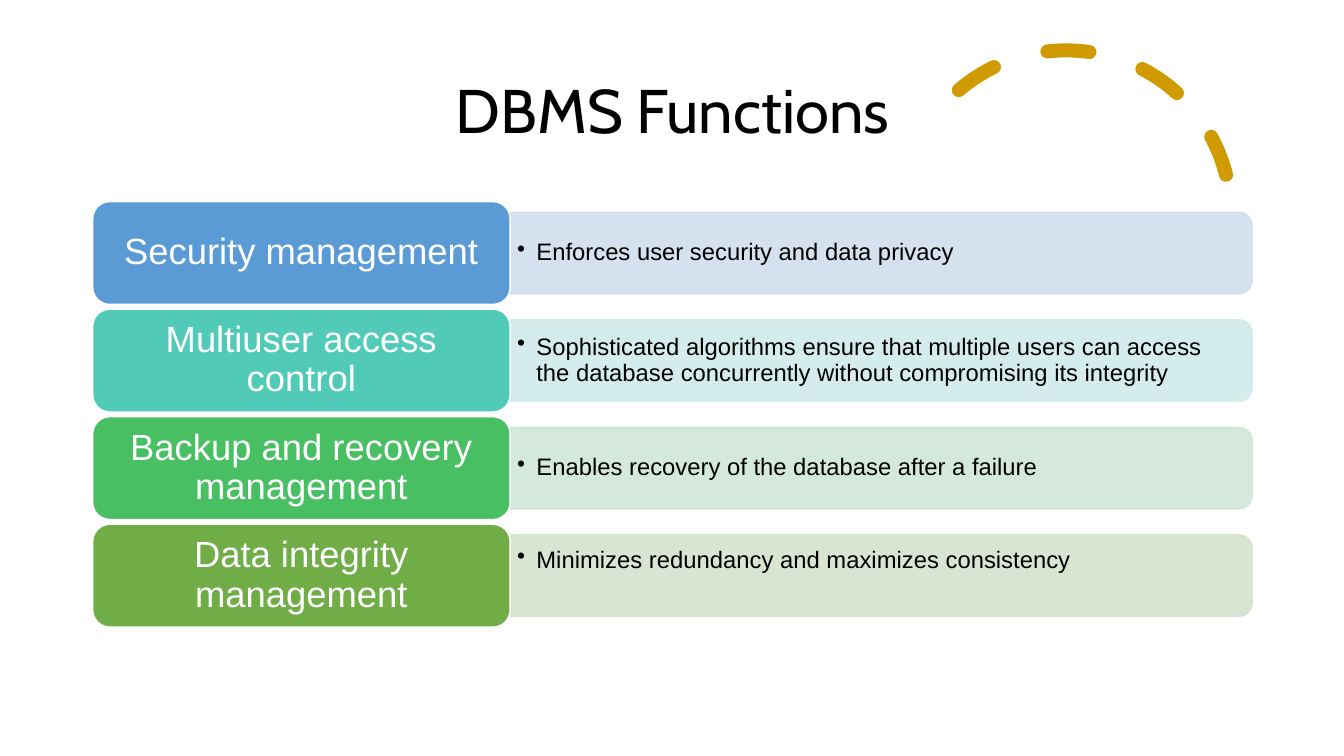
from lxml import etree
from pptx import Presentation
from pptx.dml.color import RGBColor
from pptx.enum.dml import MSO_LINE
from pptx.enum.shapes import MSO_SHAPE
from pptx.enum.text import MSO_ANCHOR, PP_ALIGN
from pptx.oxml.ns import qn
from pptx.util import Inches, Pt

ARC, ROUND = MSO_SHAPE.ARC, MSO_SHAPE.ROUNDED_RECTANGLE
TAB = MSO_SHAPE.ROUND_2_SAME_RECTANGLE
MIDDLE, DASH = MSO_ANCHOR.MIDDLE, MSO_LINE.DASH
LEFT, CENTER = PP_ALIGN.LEFT, PP_ALIGN.CENTER

BLACK = RGBColor(0x00, 0x00, 0x00)
WHITE = RGBColor(0xFF, 0xFF, 0xFF)
GOLD = RGBColor(0xCF, 0x9B, 0x00)
BLUE, PALE_BLUE = RGBColor(0x5B, 0x9B, 0xD5), RGBColor(0xD2, 0xDE, 0xEF)
TEAL, PALE_TEAL = RGBColor(0x52, 0xCA, 0xB8), RGBColor(0xD0, 0xEC, 0xEA)
GREEN, PALE_GREEN = RGBColor(0x49, 0xBF, 0x64), RGBColor(0xD0, 0xE7, 0xD8)
OLIVE, PALE_OLIVE = RGBColor(0x70, 0xAD, 0x47), RGBColor(0xD5, 0xE3, 0xCF)

# Content: label, detail, label colour, bar colour, lift of the detail text
TITLE = "DBMS Functions"
ROWS = [
    ("Security management", "Enforces user security and data privacy",
     BLUE, PALE_BLUE, 0),
    ("Multiuser access control",
     "Sophisticated algorithms ensure that multiple users can access "
     "the database concurrently without compromising its integrity",
     TEAL, PALE_TEAL, 0),
    ("Backup and recovery management",
     "Enables recovery of the database after a failure",
     GREEN, PALE_GREEN, 0),
    ("Data integrity management",
     "Minimizes redundancy and maximizes consistency",
     OLIVE, PALE_OLIVE, 0.15),
]

# Layout in inches
LEFT_X, TOP_Y, STEP = 0.92, 2.0, 1.067
LABEL_W, LABEL_H = 4.14, 1.02
BAR_W, BAR_H, TEXT_H = 7.36, 0.81, 0.73
BAR_X = LEFT_X + LABEL_W


def add_form(slide, kind, x, y, w, h, fill=None, line=WHITE, width=1):
    form = slide.shapes.add_shape(kind, Inches(x), Inches(y),
                                  Inches(w), Inches(h))
    form.shadow.inherit = False
    if fill is None:
        form.fill.background()
    else:
        form.fill.solid()
        form.fill.fore_color.rgb = fill
    form.line.color.rgb = line
    form.line.width = Pt(width)
    return form


def put_text(shape, text, size, font="Arial", color=BLACK, align=CENTER,
             pad=(0.11, 0.05), lift=0, bullet=False):
    frame = shape.text_frame
    frame.word_wrap = True
    frame.vertical_anchor = MIDDLE
    frame.margin_left = frame.margin_right = Inches(pad[0])
    frame.margin_top = Inches(pad[1])
    frame.margin_bottom = Inches(pad[1] + 2 * lift)
    para = frame.paragraphs[0]
    para.alignment = align
    para.line_spacing = 0.9
    if bullet:
        props = para._p.get_or_add_pPr()
        props.set("marL", str(Inches(0.19)))
        props.set("indent", str(-Inches(0.19)))
        etree.SubElement(props, qn("a:buChar")).set("char", "•")
    run = para.add_run()
    run.text = text
    run.font.size = Pt(size)
    run.font.name = font
    run.font.color.rgb = color


def add_box(slide, x, y, w, h):
    return slide.shapes.add_textbox(Inches(x), Inches(y),
                                    Inches(w), Inches(h))


def add_row(slide, y, label, detail, dark, pale, lift):
    mid = y + LABEL_H / 2
    # Bar: an upright tab turned on its side, slightly see-through
    bar = add_form(slide, TAB, BAR_X + (BAR_W - BAR_H) / 2, mid - BAR_W / 2,
                   BAR_H, BAR_W, fill=pale, line=pale)
    bar.rotation = 90
    for color in bar.element.spPr.iter(qn("a:srgbClr")):
        etree.SubElement(color, qn("a:alpha")).set("val", "90000")
    box = add_box(slide, BAR_X, mid - TEXT_H / 2, BAR_W - 0.04, TEXT_H)
    put_text(box, detail, 17, align=LEFT, pad=(0.07, 0.04), lift=lift,
             bullet=True)
    # Label
    tile = add_form(slide, ROUND, LEFT_X, y, LABEL_W, LABEL_H, fill=dark)
    put_text(tile, label, 26, color=WHITE)


def main():
    deck = Presentation()
    deck.slide_width, deck.slide_height = Inches(13.33), Inches(7.5)
    slide = deck.slides.add_slide(deck.slide_layouts[6])

    # Dashed arc with round ends
    arc = add_form(slide, ARC, 8.94, 0.5, 3.27, 3.27, line=GOLD, width=10)
    arc.rotation = 345.8
    arc.adjustments[0], arc.adjustments[1] = 146.13, 0
    arc.line.dash_style = DASH
    arc.element.spPr.find(qn("a:ln")).set("cap", "rnd")

    # Title and rows
    put_text(add_box(slide, LEFT_X, 0.4, 11.5, 1.45), TITLE, 44, font="Cabin")
    for i, row in enumerate(ROWS):
        add_row(slide, TOP_Y + i * STEP, *row)

    deck.save("out.pptx")


if __name__ == "__main__":
    main()
